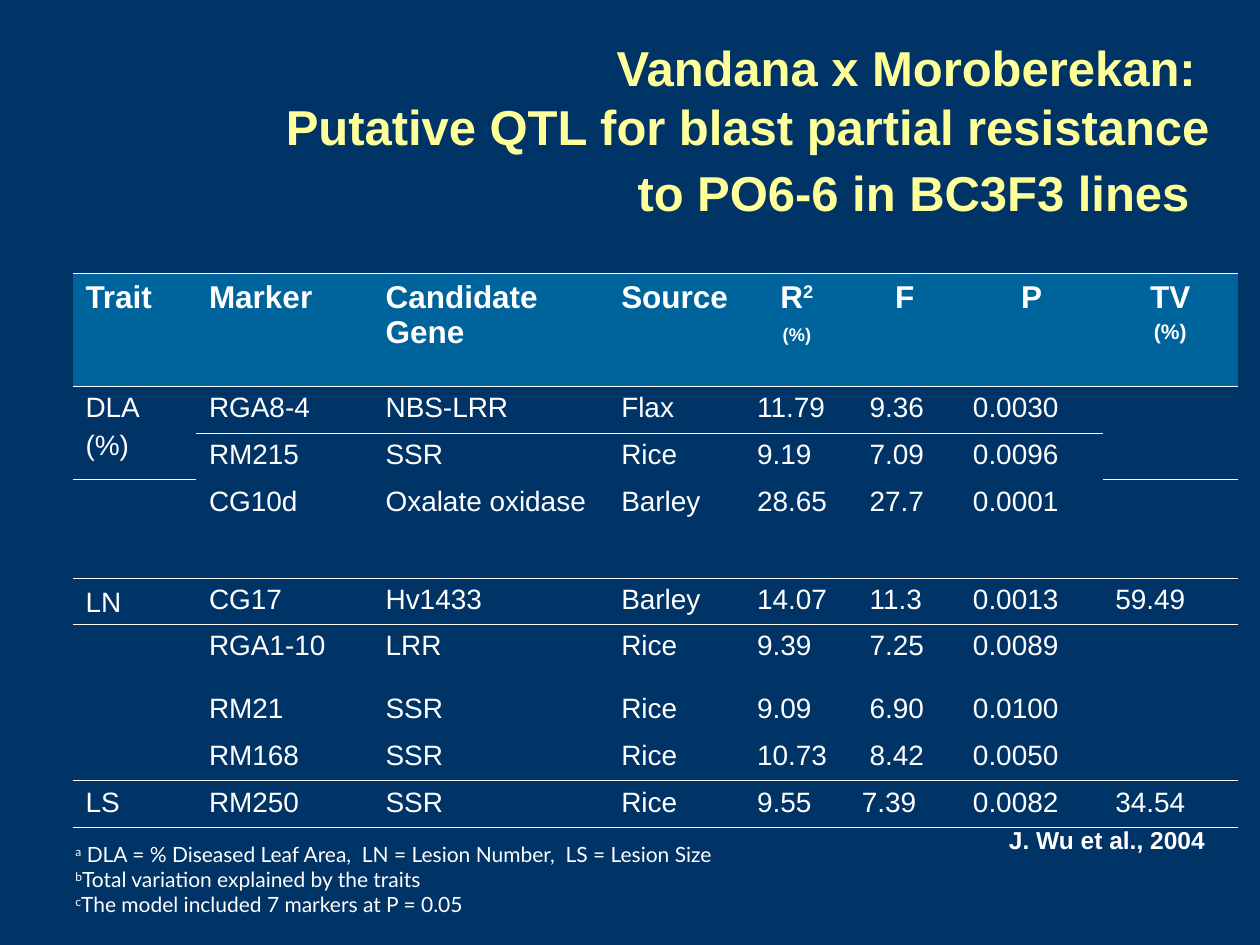
from lxml.etree import SubElement
from pptx import Presentation
from pptx.dml.color import RGBColor
from pptx.enum.text import MSO_ANCHOR, MSO_AUTO_SIZE, PP_ALIGN
from pptx.oxml import parse_xml
from pptx.oxml.ns import nsdecls, qn
from pptx.util import Cm, Pt

NAVY, BLUE, WHITE, YELLOW, GREEN = "003366", "00649C", "FFFFFF", "FFFF99", "006600"
NO_GRID_STYLE = "{2D5ABB26-0587-4C30-8999-92F81FD0307C}"

COL_WIDTHS = [2.49, 3.56, 4.75, 2.74, 2.11, 2.24, 2.87, 2.72]
ROW_HEIGHTS = [2.28, 0.94, 0.94, 1.98, 0.94, 1.27, 0.94, 0.94, 0.94]
HEADERS = ["Trait", "Marker", "Candidate Gene", "Source", "R", "F", "P", "TV"]
ROWS = [
    ["DLA", "RGA8-4", "NBS-LRR", "Flax", "11.79", " 9.36", "0.0030", ""],
    ["", "RM215", "SSR", "Rice", "9.19", " 7.09", "0.0096", ""],
    ["", "CG10d", "Oxalate oxidase", "Barley", "28.65", " 27.7", "0.0001", ""],
    ["LN", "CG17", "Hv1433", "Barley", "14.07", " 11.3", "0.0013", "59.49"],
    ["", "RGA1-10", "LRR", "Rice", "9.39", " 7.25", "0.0089", ""],
    ["", "RM21", "SSR", "Rice", "9.09", " 6.90", "0.0100", ""],
    ["", "RM168", "SSR", "Rice", "10.73", " 8.42", "0.0050", ""],
    ["LS", "RM250", "SSR", "Rice", "9.55", "7.39", "0.0082", "34.54"],
]
GROUP_STARTS = (0, 1, 4, 8)
GROUP_ENDS = (0, 3, 7, 8)
MERGED_PAIRS = (1, 6)  # first row of each merged pair in the Trait and TV columns


def rgb(value):
    return RGBColor.from_string(value)


def add_run(p, text, size, color=WHITE, bold=False, font="Arial", raised=False):
    r = p.add_run()
    r.text = text
    r.font.size, r.font.bold, r.font.name = Pt(size), bold, font
    r.font.color.rgb = rgb(color)
    if raised:
        r._r.get_or_add_rPr().set("baseline", "30000")
    return r


def add_text_box(s, box, wrap=True):
    tf = s.shapes.add_textbox(*map(Cm, box)).text_frame
    tf.word_wrap = wrap
    tf.auto_size = MSO_AUTO_SIZE.SHAPE_TO_FIT_TEXT
    return tf


def add_title(s, box):
    tf = add_text_box(s, box)
    first, second = tf.paragraphs[0], tf.add_paragraph()
    first.alignment = second.alignment = PP_ALIGN.RIGHT
    add_run(first, "Vandana x Moroberekan: ", 28, YELLOW, True)
    add_run(second, "Putative QTL for blast partial resistance to PO6-6 in BC3F3 lines",
            28, YELLOW, True)
    add_run(second, " ", 32, GREEN, True, "Comic Neue")


def add_border(cell, side):
    line = parse_xml(
        f'<a:{side} {nsdecls("a")} w="5715"><a:solidFill>'
        f'<a:srgbClr val="{WHITE}"/></a:solidFill></a:{side}>')
    cell._tc.get_or_add_tcPr().insert(0, line)


def add_unit_line(cell, size, space, **style):
    p = cell.text_frame.add_paragraph()
    p.alignment = cell.text_frame.paragraphs[0].alignment
    p.space_before = Pt(space)
    add_run(p, "(%)", size, **style)


def fill_cell(cell, text, row, col):
    header = row == 0
    p = cell.text_frame.paragraphs[0]
    if header and col >= 4:
        p.alignment = PP_ALIGN.CENTER
    if text:
        add_run(p, text, 18 if header else 16, bold=header)
    else:
        SubElement(p._p, qn("a:endParaRPr")).set("sz", "1600")
    if header:
        cell.fill.solid()
        cell.fill.fore_color.rgb = rgb(BLUE)
    else:
        cell.fill.background()
    # Rules above and below each trait group; bottom goes in first to keep order
    if row in GROUP_ENDS:
        add_border(cell, "lnB")
    if row in GROUP_STARTS:
        add_border(cell, "lnT")


def add_qtl_table(s, box):
    tbl = s.shapes.add_table(len(ROW_HEIGHTS), len(COL_WIDTHS), *map(Cm, box)).table
    tbl.first_row = tbl.horz_banding = False
    tbl._tbl.tblPr.find(qn("a:tableStyleId")).text = NO_GRID_STYLE
    for column, width in zip(tbl.columns, COL_WIDTHS):
        column.width = Cm(width)
    for row, height in zip(tbl.rows, ROW_HEIGHTS):
        row.height = Cm(height)
    for i, values in enumerate([HEADERS] + ROWS):
        for j, text in enumerate(values):
            fill_cell(tbl.cell(i, j), text, i, j)

    # Units and the raised 2
    add_run(tbl.cell(0, 4).text_frame.paragraphs[0], "2", 18, bold=True, raised=True)
    add_unit_line(tbl.cell(0, 4), 18, 4.5, bold=True, raised=True)
    add_unit_line(tbl.cell(0, 7), 12, 3, bold=True)
    add_unit_line(tbl.cell(1, 0), 16, 4)

    tbl.cell(4, 0).vertical_anchor = MSO_ANCHOR.BOTTOM
    for i in MERGED_PAIRS:
        for j in (0, 7):
            tbl.cell(i, j).merge(tbl.cell(i + 1, j))


def add_footnotes(s, box):
    tf = add_text_box(s, box)
    notes = [
        ("a", " DLA = % Diseased Leaf Area,  LN = Lesion Number,  LS = Lesion Size"),
        ("b", "Total variation explained by the traits"),
        ("c", "The model included 7 markers at P = 0.05"),
    ]
    for i, (mark, note) in enumerate(notes):
        p = tf.add_paragraph() if i else tf.paragraphs[0]
        add_run(p, mark, 12, font="Lato", raised=True)
        add_run(p, note, 12, font="Lato")


def add_citation(s, box):
    tf = add_text_box(s, box, wrap=False)
    add_run(tf.paragraphs[0], "J. Wu et al., 2004", 14, bold=True)


def main():
    prs = Presentation()
    prs.slide_width, prs.slide_height = Cm(25.4), Cm(19.05)
    s = prs.slides.add_slide(prs.slide_layouts[6])
    s.background.fill.solid()
    s.background.fill.fore_color.rgb = rgb(NAVY)
    add_title(s, (5.28, 0.64, 19.35, 3.99))
    add_qtl_table(s, (1.47, 5.51, sum(COL_WIDTHS), sum(ROW_HEIGHTS)))
    add_footnotes(s, (1.27, 16.84, 14.81, 1.78))
    add_citation(s, (20.09, 16.51, 4.47, 0.86))
    prs.save("out.pptx")


if __name__ == "__main__":
    main()
